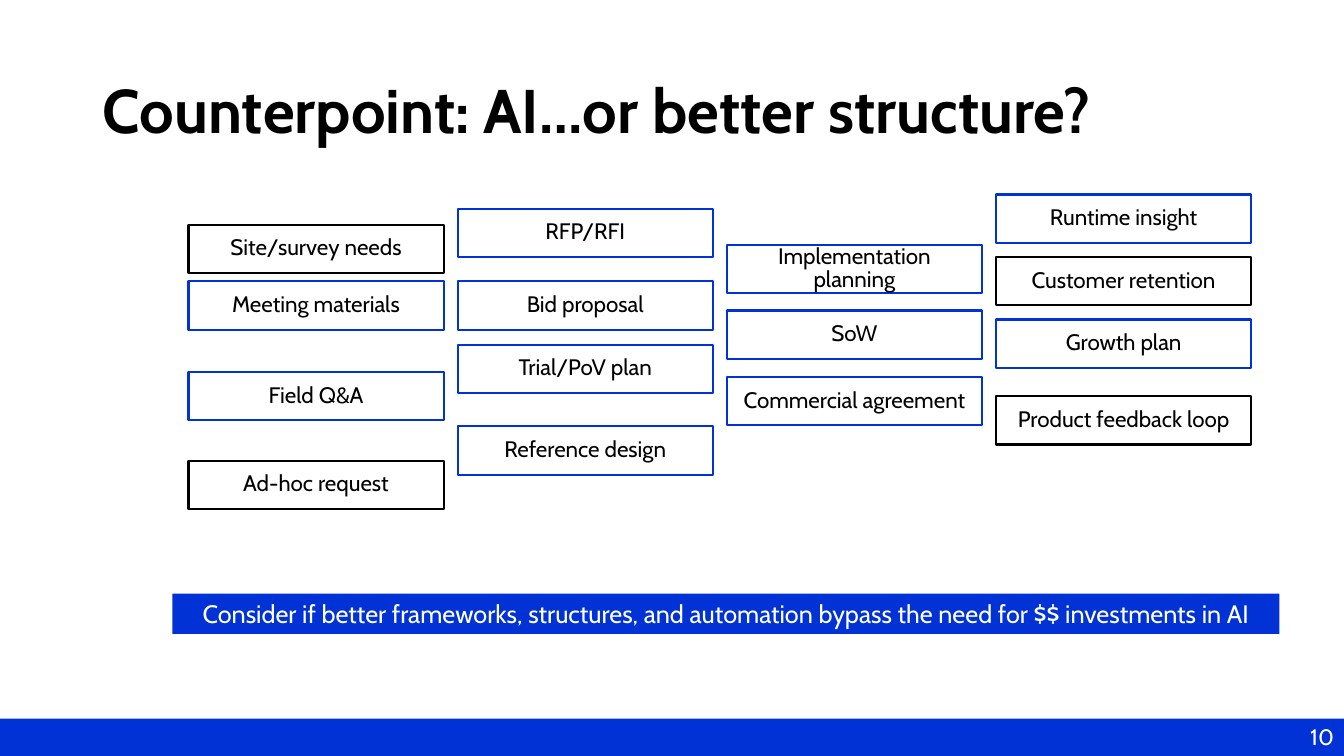
from pptx import Presentation
from pptx.dml.color import RGBColor
from pptx.enum.shapes import MSO_SHAPE
from pptx.enum.text import MSO_ANCHOR, MSO_AUTO_SIZE, PP_ALIGN
from pptx.util import Inches, Pt

RECT = MSO_SHAPE.RECTANGLE
TOP, MIDDLE = MSO_ANCHOR.TOP, MSO_ANCHOR.MIDDLE
LEFT, CENTER, RIGHT = PP_ALIGN.LEFT, PP_ALIGN.CENTER, PP_ALIGN.RIGHT
GROW, FIXED = MSO_AUTO_SIZE.SHAPE_TO_FIT_TEXT, MSO_AUTO_SIZE.NONE

TITLE = "Counterpoint: AI…or better structure?"
TAKEAWAY = ("Consider if better frameworks, structures, and automation "
            "bypass the need for $$ investments in AI")
PAGE_NUMBER = "10"

# Each column lists (label, top in inches, outline colour)
COLUMNS = [
    [("Site/survey needs", 2.23, "black"),
     ("Meeting materials", 2.79, "blue"),
     ("Field Q&A", 3.69, "blue"),
     ("Ad-hoc request", 4.57, "black")],
    [("RFP/RFI", 2.07, "blue"),
     ("Bid proposal", 2.79, "blue"),
     ("Trial/PoV plan", 3.42, "blue"),
     ("Reference design", 4.23, "blue")],
    [("Implementation planning", 2.43, "blue"),
     ("SoW", 3.08, "blue"),
     ("Commercial agreement", 3.74, "blue")],
    [("Runtime insight", 1.93, "blue"),
     ("Customer retention", 2.55, "black"),
     ("Growth plan", 3.17, "blue"),
     ("Product feedback loop", 3.93, "black")],
]

THEME = {
    "font": "Cabin",
    "black": RGBColor(0x00, 0x00, 0x00),
    "white": RGBColor(0xFF, 0xFF, 0xFF),
    "blue": RGBColor(0x00, 0x32, 0xD5),
    "title_size": Pt(44),
    "takeaway_size": Pt(18),
    "body_size": Pt(16),
    "outline": Pt(1.5),
}

SLIDE_W, SLIDE_H = 13.33, 7.5
FOOTER_H = 0.37
FIRST_COLUMN, COLUMN_PITCH = 1.87, 2.67
BOX_W, BOX_H = 2.53, 0.48


def write(sp, text, size, color, align=CENTER, anchor=TOP,
          spacing=1.0, bold=False, auto_size=FIXED):
    tf = sp.text_frame
    p = tf.paragraphs[0]
    r = p.add_run()
    r.text = text
    r.font.color.rgb = THEME[color]
    formats = [
        (tf, {"word_wrap": True, "auto_size": auto_size, "vertical_anchor": anchor}),
        (p, {"alignment": align, "line_spacing": spacing}),
        (r.font, {"name": THEME["font"], "size": THEME[size], "bold": bold}),
    ]
    for target, values in formats:
        for name, value in values.items():
            setattr(target, name, value)


def add_rect(slide, box, fill, line=None):
    sp = slide.shapes.add_shape(RECT, *map(Inches, box))
    sp.shadow.inherit = False
    sp.fill.solid()
    sp.fill.fore_color.rgb = THEME[fill]
    if line:
        sp.line.color.rgb = THEME[line]
        sp.line.width = THEME["outline"]
    else:
        sp.line.fill.background()
    return sp


def main():
    prs = Presentation()
    prs.slide_width, prs.slide_height = Inches(SLIDE_W), Inches(SLIDE_H)
    s = prs.slides.add_slide(prs.slide_layouts[6])

    footer = add_rect(s, (0, SLIDE_H - FOOTER_H, SLIDE_W, FOOTER_H), "blue")
    write(footer, PAGE_NUMBER, "body_size", "white", align=RIGHT, auto_size=GROW)

    title = s.shapes.add_textbox(*map(Inches, (0.92, 0.4, 11.5, 1.45)))
    write(title, TITLE, "title_size", "black", align=LEFT, anchor=MIDDLE,
          spacing=0.9, bold=True)

    for i, column in enumerate(COLUMNS):
        left = FIRST_COLUMN + i * COLUMN_PITCH
        for label, top, outline in column:
            sp = add_rect(s, (left, top, BOX_W, BOX_H), "white", outline)
            write(sp, label, "body_size", "black", anchor=MIDDLE, spacing=0.85)

    takeaway = add_rect(s, (1.71, 5.89, 10.98, 0.4), "blue")
    write(takeaway, TAKEAWAY, "takeaway_size", "white", auto_size=GROW)

    prs.save("out.pptx")


if __name__ == "__main__":
    main()
